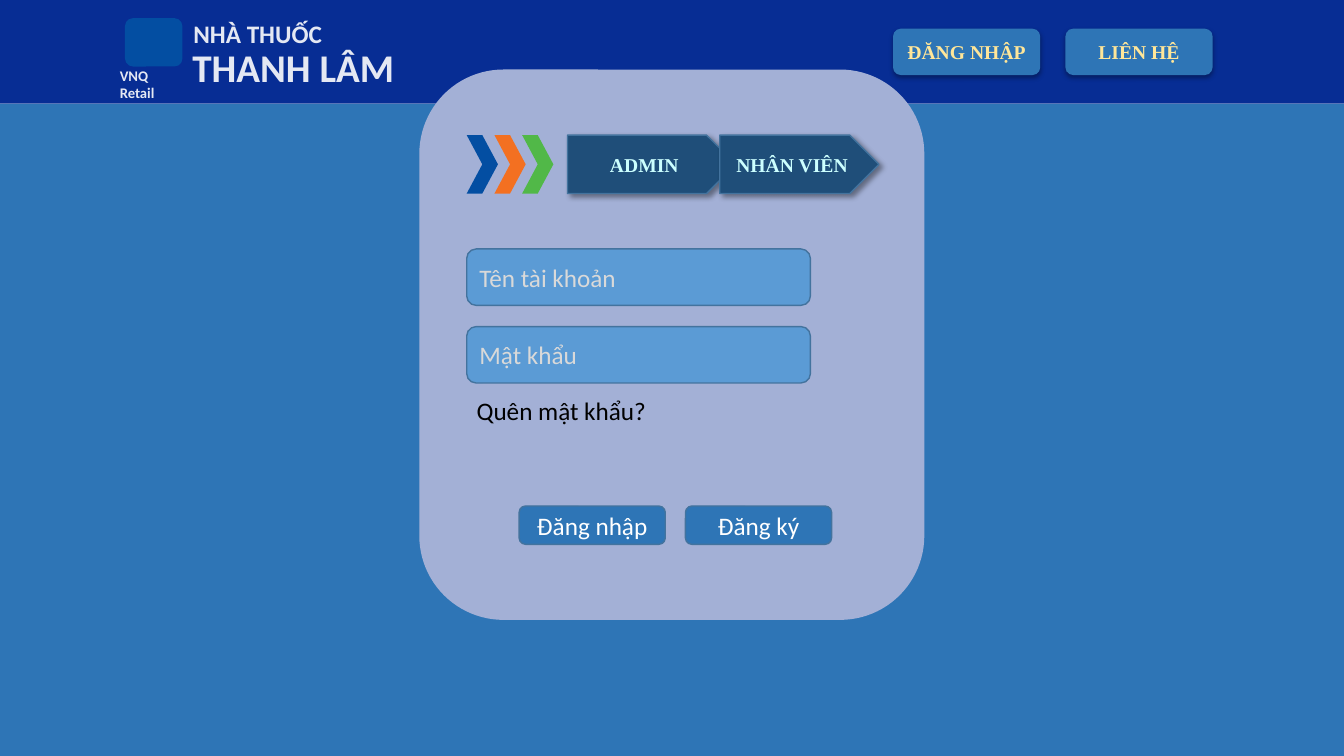
from collections import namedtuple

from pptx import Presentation
from pptx import util as u
from pptx.dml.color import RGBColor
from pptx.enum import shapes, text
from pptx.oxml import parse_xml
from pptx.oxml.ns import nsdecls

# The slide is a grid of square cells, ten to the inch.
CELL = u.Inches(0.1)
COLUMNS, ROWS = 133.33, 75
HEADER_ROWS = 10.3

NAVY = RGBColor(0x07, 0x2D, 0x94)
BLUE = RGBColor(0x2E, 0x75, 0xB6)
FIELD_BLUE = RGBColor(0x5B, 0x9B, 0xD5)
TAB_BLUE = RGBColor(0x1F, 0x4E, 0x79)
EDGE = RGBColor(0x43, 0x73, 0x9E)
LILAC = RGBColor(0xA3, 0xB0, 0xD6)
PALE = RGBColor(0xE4, 0xE8, 0xF3)
CREAM = RGBColor(0xFF, 0xE6, 0x99)
AQUA = RGBColor(0xCC, 0xFF, 0xFF)
HINT_GREY = RGBColor(0xD9, 0xD9, 0xD9)
WHITE = RGBColor(0xFF, 0xFF, 0xFF)
BLACK = RGBColor(0, 0, 0)
ROYAL = RGBColor(0x03, 0x4E, 0xA2)
ORANGE = RGBColor(0xF3, 0x70, 0x21)
GREEN = RGBColor(0x51, 0xB8, 0x48)

RECT = shapes.MSO_SHAPE.RECTANGLE
ROUND = shapes.MSO_SHAPE.ROUNDED_RECTANGLE
CHEVRON = shapes.MSO_SHAPE.CHEVRON
PENTAGON = shapes.MSO_SHAPE.PENTAGON

BRAND = dict(name="Calibri", bold=True)
FORM = dict(name="Calibri", size=u.Pt(18))
CAPS = dict(name="Times New Roman", size=u.Pt(14), bold=True)

Box = namedtuple("Box", "left top width height")
Shadow = namedtuple("Shadow", "opacity blur distance angle")
BUTTON_SHADOW = Shadow(32, 3.5, 2.2, 90)
TAB_SHADOW = Shadow(40, 4, 3, 45)


def place(box, col, row, width, height):
    """Turn cells counted from the box's corner into slide lengths."""
    cells = (box.left + col, box.top + row, width, height)
    return [round(n * CELL) for n in cells]


def write(part, words, font, color, centred=False):
    """Write one line of words in the given font values."""
    line = part.text_frame.paragraphs[0]
    line.alignment = text.PP_ALIGN.CENTER if centred else text.PP_ALIGN.LEFT
    run = line.add_run()
    run.text = words
    for key, value in font.items():
        setattr(run.font, key, value)
    run.font.color.rgb = color


def cast_shadow(part, shadow):
    """Give a part a soft black outer shadow."""
    part._element.spPr.append(parse_xml(
        f'<a:effectLst {nsdecls("a")}><a:outerShdw blurRad="{u.Pt(shadow.blur)}" '
        f'dist="{u.Pt(shadow.distance)}" dir="{shadow.angle * 60000}" '
        f'algn="ctr" rotWithShape="0"><a:srgbClr val="000000">'
        f'<a:alpha val="{shadow.opacity * 1000}"/></a:srgbClr>'
        f'</a:outerShdw></a:effectLst>'))


def add_block(slide, kind, where, fill, edge=None, shadow=None):
    """Add a filled preset shape, with an outline and shadow if asked."""
    block = slide.shapes.add_shape(kind, *where)
    block.fill.solid()
    block.fill.fore_color.rgb = fill
    if edge is None:
        block.line.fill.background()
    else:
        block.line.color.rgb = edge
        block.line.width = u.Pt(1)
    if shadow:
        cast_shadow(block, shadow)
    else:
        block.shadow.inherit = False
    block.text_frame.vertical_anchor = text.MSO_ANCHOR.MIDDLE
    return block


def add_label(slide, where, words, font, color):
    """Add free text that wraps in its own box."""
    label = slide.shapes.add_textbox(*where)
    label.text_frame.word_wrap = True
    label.text_frame.auto_size = text.MSO_AUTO_SIZE.SHAPE_TO_FIT_TEXT
    write(label, words, font, color)


def draw_backdrop(slide, box):
    """Fill the header band and the page below it."""
    add_block(slide, RECT, place(box, 0, 0, box.width, HEADER_ROWS), NAVY)
    add_block(slide, RECT, place(box, 0, HEADER_ROWS, box.width,
                                 box.height - HEADER_ROWS), BLUE)


def draw_brand(slide, box):
    """Place a plain emblem and the shop's name at the left of the header."""
    add_block(slide, ROUND, place(box, 1.5, 0.5, 5.7, 4.8), ROYAL)
    for words, size, where in (
            ("VNQ Retail", 10.5, (0, 4.8, 8.1, 2.8)),
            ("NHÀ THUỐC", 18, (7.3, 0, 24.9, 4)),
            ("THANH LÂM", 28, (7.2, 2.5, 30.9, 5.7))):
        add_label(slide, place(box, *where), words,
                  dict(BRAND, size=u.Pt(size)), PALE)


def draw_menu(slide, box):
    """Place the header buttons at the two ends of the box."""
    width = 14.6
    for index, words in enumerate(("ĐĂNG NHẬP", "LIÊN HỆ")):
        where = place(box, index * (box.width - width), 0, width, box.height)
        button = add_block(slide, ROUND, where, BLUE, shadow=BUTTON_SHADOW)
        write(button, words, CAPS, CREAM, centred=True)


def draw_role_tabs(slide, box):
    """Draw three chevrons followed by the overlapping role tabs."""
    for index, color in enumerate((ROYAL, ORANGE, GREEN)):
        add_block(slide, CHEVRON, place(box, index * 2.75, 0, 3.1, box.height),
                  color)
    for words, col, width in (("ADMIN", 10, 16.7), ("NHÂN VIÊN", 25.1, 15.8)):
        tab = add_block(slide, PENTAGON, place(box, col, 0, width, box.height),
                        TAB_BLUE, EDGE, TAB_SHADOW)
        write(tab, words, CAPS, AQUA, centred=True)


def draw_fields(slide, box):
    """Stack the input fields, with the password link beneath."""
    pitch = 7.7
    for index, hint in enumerate(("Tên tài khoản", "Mật khẩu")):
        field = add_block(slide, ROUND,
                          place(box, 0, index * pitch, box.width, 5.6),
                          FIELD_BLUE, EDGE)
        write(field, hint, FORM, HINT_GREY)
    add_label(slide, place(box, 0, 14, 32.7, 4), "Quên mật khẩu?", FORM, BLACK)


def draw_actions(slide, box):
    """Place the form's buttons at the two ends of the box."""
    width = 14.5
    for index, words in enumerate(("Đăng nhập", "Đăng ký")):
        where = place(box, index * (box.width - width), 0, width, box.height)
        button = add_block(slide, ROUND, where, BLUE, EDGE)
        write(button, words, FORM, WHITE, centred=True)


def draw_login(slide, box):
    """Draw the login card with its tabs, fields and buttons."""
    add_block(slide, ROUND, place(box, 0, 0, box.width, box.height), LILAC)
    margin = box.left + 4.7
    draw_role_tabs(slide, Box(margin, box.top + 6.5, 40.9, 5.8))
    draw_fields(slide, Box(margin, box.top + 17.8, 34.1, 18))
    draw_actions(slide, Box(box.left + 9.9, box.top + 43.3, 31, 3.8))


def main():
    """Build the login slide and save it."""
    deck = Presentation()
    deck.slide_width = round(COLUMNS * CELL)
    deck.slide_height = ROWS * CELL
    slide = deck.slides.add_slide(deck.slide_layouts[6])
    draw_backdrop(slide, Box(0, 0, COLUMNS, ROWS))
    draw_brand(slide, Box(10.9, 1.3, 38.1, 8.2))
    draw_menu(slide, Box(88.6, 2.85, 31.7, 4.6))
    draw_login(slide, Box(41.6, 6.9, 50.1, 54.6))
    deck.save("out.pptx")


main()
